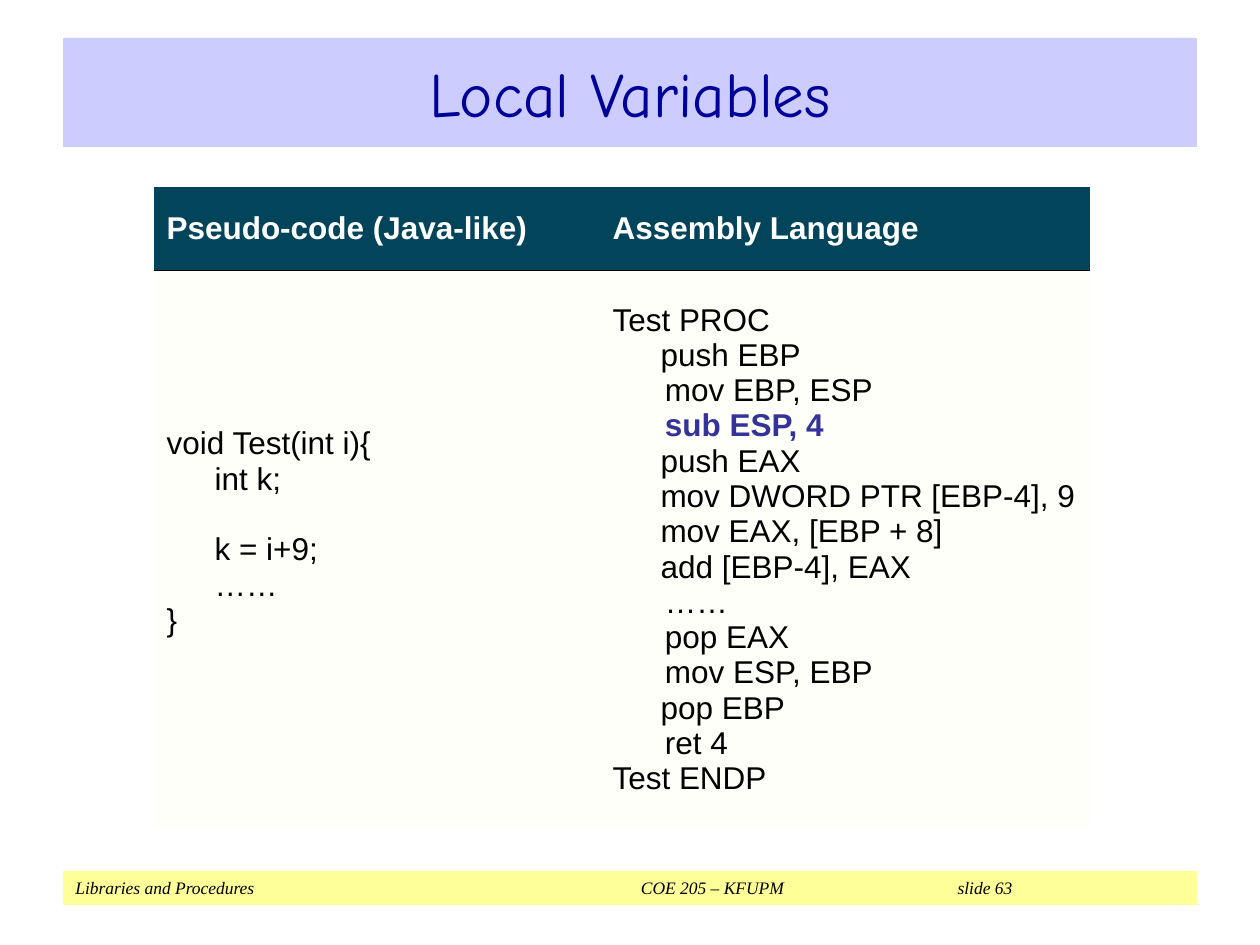
from lxml import etree
from pptx import Presentation
from pptx import util as u
from pptx.dml.color import RGBColor
from pptx.enum import shapes, text
from pptx.oxml.ns import qn

PX = 914400 // 126  # EMU in one px

TITLE = "Local Variables"
FOOTER = ("Libraries and Procedures", "COE 205 – KFUPM", "slide 63")
FOOTER_TABS = [("ctr", 637), ("r", 937)]
HEADERS = ("Pseudo-code (Java-like)", "Assembly Language")
HIGHLIGHT = "      sub ESP, 4"
# Each inner list is a paragraph; its lines after the first hang inward
PSEUDO_CODE = [
    ["void Test(int i){", "int k;", "\u00a0", "k = i+9;", "……"],
    ["}"],
]
ASSEMBLY = [
    ["Test PROC", "push EBP"],
    ["      mov EBP, ESP"],
    [HIGHLIGHT, "push EAX", "mov DWORD PTR [EBP-4], 9", "mov EAX, [EBP + 8]",
     "add [EBP-4], EAX"],
    ["      ……"],
    ["      pop EAX"],
    ["      mov ESP, EBP", "pop EBP"],
    ["      ret 4"],
    ["Test ENDP"],
]
COLUMNS = (446, 490)
ROWS = (83, 559)
HANG = 48
NO_STYLE = "{2D5ABB26-0587-4C30-8999-92F81FD0307C}"


def px(n):
    return u.Emu(n * PX)


def color(value):
    return RGBColor.from_string(value)


def fill(part, value):
    part.fill.solid()
    part.fill.fore_color.rgb = color(value)


def style(font, name, size, value, bold=False, italic=False):
    font.name, font.size = name, u.Pt(size)
    font.bold, font.italic = bold, italic
    font.color.rgb = color(value)


def place(shape, left, top, width, height):
    shape.left, shape.top = px(left), px(top)
    shape.width, shape.height = px(width), px(height)


def header_rule(cell, side):
    line = etree.Element(qn("a:" + side), w="762")
    ink = etree.SubElement(line, qn("a:solidFill"))
    etree.SubElement(ink, qn("a:srgbClr"), val="000000")
    cell._tc.get_or_add_tcPr().insert(0, line)


def write_cell(cell, paragraphs, background, ink, bold=False):
    fill(cell, background)
    cell.vertical_anchor = text.MSO_ANCHOR.MIDDLE
    frame = cell.text_frame
    for i, lines in enumerate(paragraphs):
        paragraph = frame.add_paragraph() if i else frame.paragraphs[0]
        props = paragraph._p.get_or_add_pPr()
        props.set("marL", str(px(HANG)))
        props.set("indent", str(px(-HANG)))
        style(paragraph.font, "Arial", 18, ink, bold)
        for j, line in enumerate(lines):
            if j:
                paragraph.add_line_break()
            run = paragraph.add_run()
            run.text = line
            if line == HIGHLIGHT:
                run.font.bold = True
                run.font.color.rgb = color("333399")


prs = Presentation()
prs.slide_width, prs.slide_height = u.Inches(10), u.Inches(7.5)
slide = prs.slides.add_slide(prs.slide_layouts[5])

# Footer band
footer = slide.shapes.add_shape(shapes.MSO_SHAPE.RECTANGLE,
                                px(63), px(871), px(1134), px(34))
footer.shadow.inherit = False
fill(footer, "FFFF99")
footer.line.fill.background()
footer.text_frame.vertical_anchor = text.MSO_ANCHOR.MIDDLE
credit = footer.text_frame.paragraphs[0]
credit.text = "\t".join(FOOTER)
credit.alignment = text.PP_ALIGN.LEFT
tabs = etree.SubElement(credit._p.get_or_add_pPr(), qn("a:tabLst"))
for align, position in FOOTER_TABS:
    etree.SubElement(tabs, qn("a:tab"), pos=str(px(position)), algn=align)
style(credit.font, "Times New Roman", 10, "000000", italic=True)

# Title band
title = slide.shapes.title
place(title, 63, 38, 1134, 109)
fill(title, "CCCCFF")
title.text_frame.text = TITLE
title.text_frame.auto_size = text.MSO_AUTO_SIZE.NONE
title.text_frame.vertical_anchor = text.MSO_ANCHOR.MIDDLE
heading = title.text_frame.paragraphs[0]
heading.alignment = text.PP_ALIGN.CENTER
style(heading.font, "Comic Neue", 36, "000099")

# Code comparison table
code = slide.shapes.add_table(2, 2, px(154), px(187),
                              px(sum(COLUMNS)), px(sum(ROWS))).table
code._tbl.tblPr.find(qn("a:tableStyleId")).text = NO_STYLE
code.first_row = code.horz_banding = False
for row, height in zip(code.rows, ROWS):
    row.height = px(height)
for col, (width, header, listing) in enumerate(
        zip(COLUMNS, HEADERS, (PSEUDO_CODE, ASSEMBLY))):
    code.columns[col].width = px(width)
    write_cell(code.cell(0, col), [[header]], "024459", "FFFFFF", bold=True)
    write_cell(code.cell(1, col), listing, "FFFFFA", "000000")
    header_rule(code.cell(0, col), "lnB")
    header_rule(code.cell(1, col), "lnT")
code.cell(1, 0).margin_bottom = px(41)  # lifts the shorter listing

prs.save("out.pptx")
